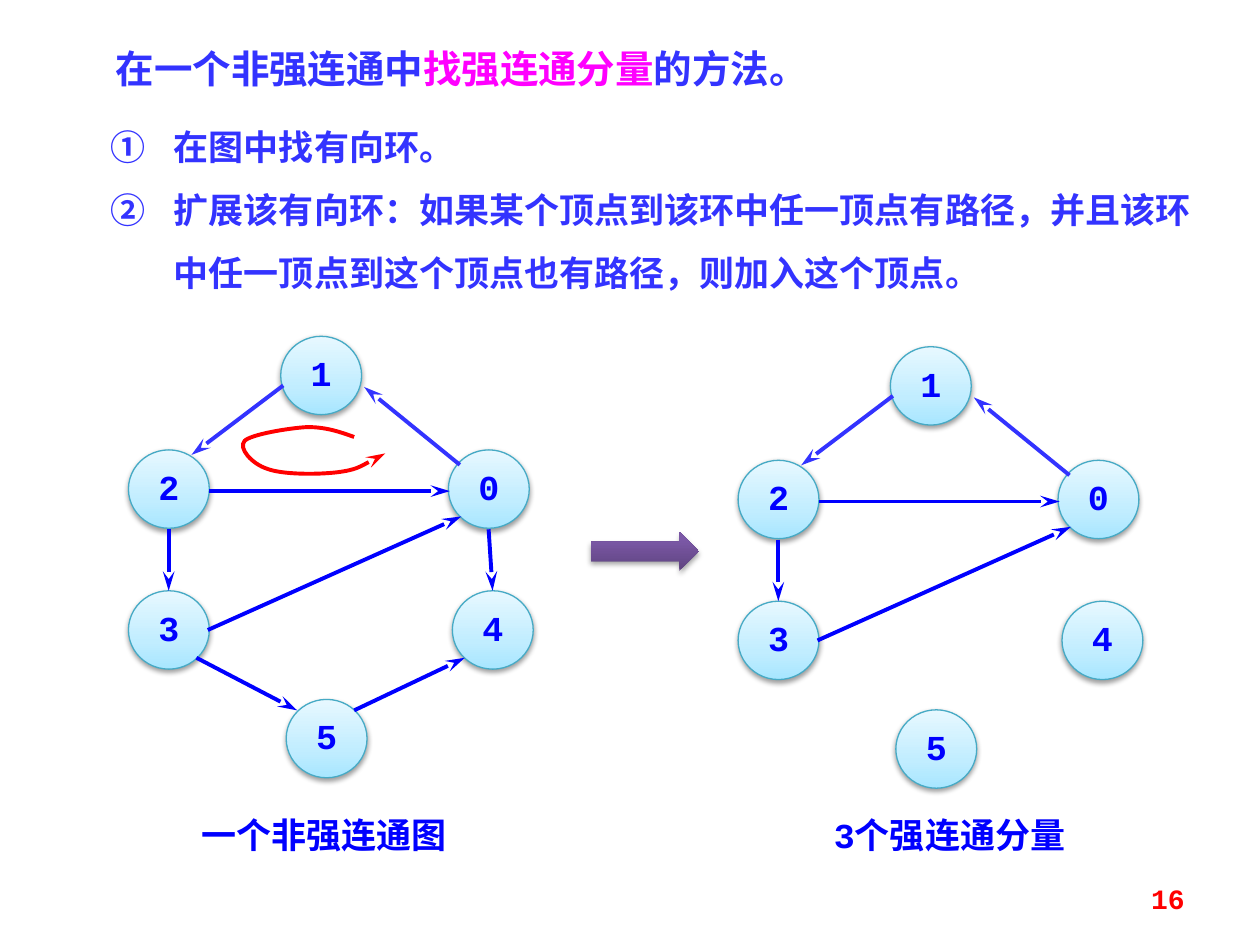
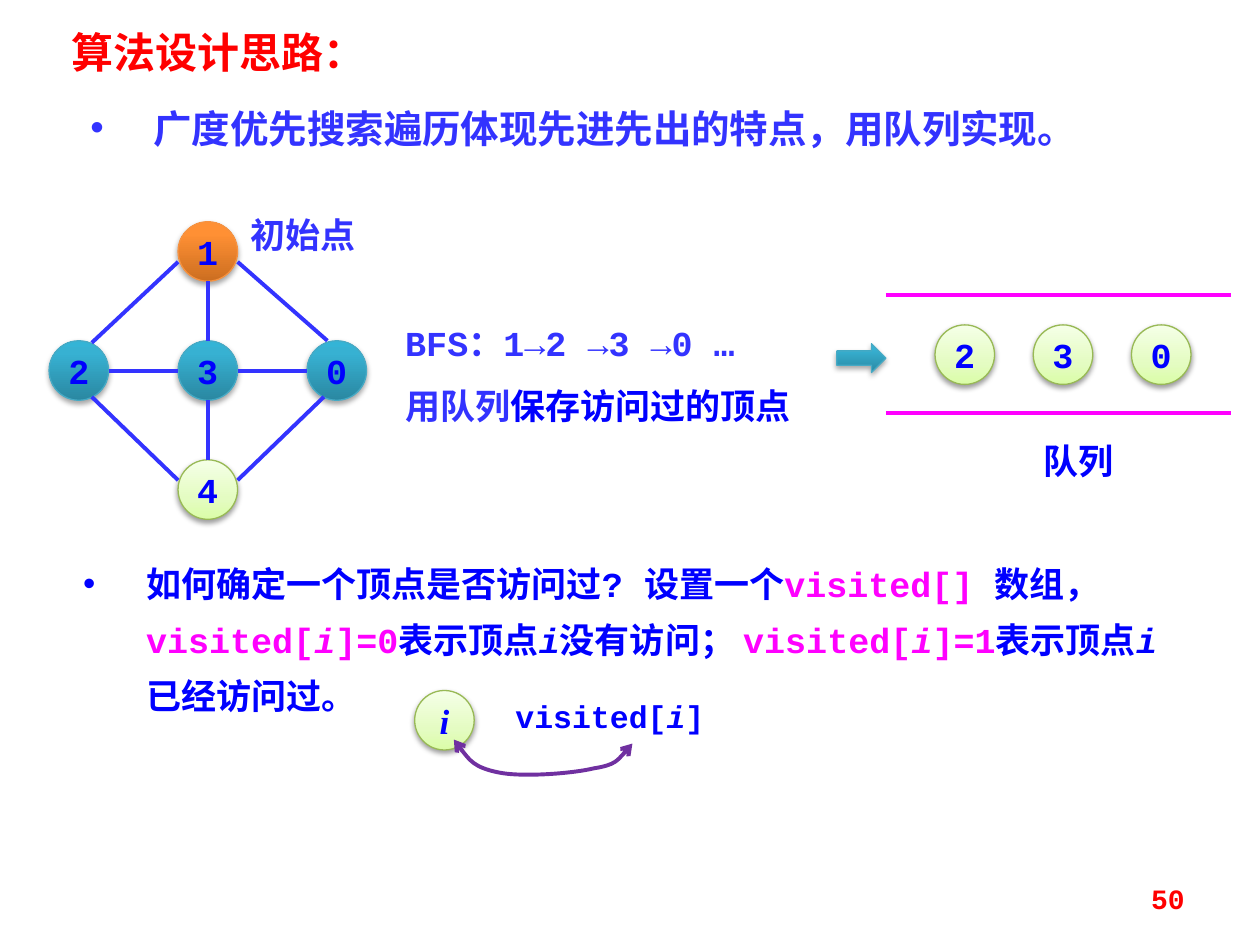
"""Build two slides on strongly connected components and breadth-first search."""
import copy
import dataclasses

import lxml.etree
import pptx
import pptx.dml.color
import pptx.enum.shapes
import pptx.enum.text
import pptx.oxml.ns
import pptx.util

Cm = pptx.util.Cm
Pt = pptx.util.Pt
RGBColor = pptx.dml.color.RGBColor
qn = pptx.oxml.ns.qn
Shape = pptx.enum.shapes.MSO_SHAPE
Align = pptx.enum.text.PP_ALIGN
Anchor = pptx.enum.text.MSO_ANCHOR

BLUE = RGBColor(0x00, 0x00, 0xFF)
SOFT_BLUE = RGBColor(0x33, 0x33, 0xFF)
MAGENTA = RGBColor(0xFF, 0x00, 0xFF)
RED = RGBColor(0xFF, 0x00, 0x00)
PURPLE = RGBColor(0x70, 0x30, 0xA0)
TEAL_EDGE = RGBColor(0x46, 0xAA, 0xC5)
ORANGE_EDGE = RGBColor(0xF6, 0x92, 0x40)
GREEN_EDGE = RGBColor(0x98, 0xB9, 0x55)

CODE_FONT = "Courier New"
SERIF_FONT = "Times New Roman"
CHINESE_FONT = "Noto Sans CJK SC"


@dataclasses.dataclass
class Look:
    """Gradient colours from bottom to top, middle stop, outline and shadow."""
    colours: tuple
    middle: float
    outline: RGBColor = None
    shadow_alpha: int = 35
    shadow_distance: float = 1.8


def gradient(*codes):
    """Return the colours of a gradient from hexadecimal codes."""
    return tuple(RGBColor.from_string(code) for code in codes)


SKY = Look(gradient("A7E6FF", "C1EDFF", "E7F8FF"), 0.35, TEAL_EDGE, 38, 1.6)
LIME = Look(gradient("DAFDA7", "E4FCC2", "F5FFE7"), 0.35, GREEN_EDGE, 38, 1.6)
TEAL = Look(gradient("2A88A2", "37B1D2", "34B4D6"), 0.8, TEAL_EDGE)
ORANGE = Look(gradient("CC6E20", "FF9034", "FF9136"), 0.8, ORANGE_EDGE)
VIOLET = Look(gradient("5F4480", "7B58A6", "7C57A8"), 0.8)

NODE_SPOTS = {"1": (3.07, 0), "0": (6.45, 2.29), "2": (0, 2.29),
              "3": (0, 5.13), "4": (6.53, 5.13), "5": (3.18, 7.32)}
COMPONENT_EDGES = [
    ((1.63, 3.12), (6.48, 3.12), BLUE),
    ((3.12, 0.99), (1.27, 2.39), SOFT_BLUE),
    ((6.68, 2.59), (4.75, 1.02), SOFT_BLUE),
    ((0.81, 3.89), (0.81, 5.13), BLUE),
    ((1.6, 5.92), (6.71, 3.63), BLUE)]
BRIDGE_EDGES = [
    ((7.26, 3.89), (7.34, 5.13), BLUE),
    ((1.37, 6.48), (3.4, 7.54), BLUE),
    ((4.55, 7.54), (6.78, 6.48), BLUE)]
CYCLE_CURVE = [
    (4.55, 2.03), (4.27, 1.93), (3.99, 1.83), (3.61, 1.83),
    (3.23, 1.85), (2.46, 1.98), (2.34, 2.11),
    (2.21, 2.26), (2.49, 2.57), (2.79, 2.67),
    (3.1, 2.79), (3.81, 2.79), (4.22, 2.74),
    (4.6, 2.69), (4.9, 2.51), (5.18, 2.36)]

SEARCH_NODES = [("3", 2.6, 2.4, TEAL), ("2", 0, 2.4, TEAL), ("0", 5.2, 2.4, TEAL),
                ("1", 2.6, 0, ORANGE), ("4", 2.6, 4.8, LIME)]
SEARCH_EDGES = [
    ((0.86, 2.44), (2.6, 0.81)), ((1.2, 3), (2.6, 3)), ((3.8, 3), (5.2, 3)),
    ((0.86, 3.53), (2.6, 5.21)), ((3.8, 0.81), (5.61, 2.4)),
    ((3.8, 5.21), (5.54, 3.53)), ((3.2, 3.6), (3.2, 4.8)), ((3.2, 1.2), (3.2, 2.4))]
LINK_CURVE = [
    (0.79, 0.99), (0.99, 1.27), (1.19, 1.55), (1.68, 1.65),
    (2.13, 1.75), (3.15, 1.68), (3.61, 1.57),
    (4.06, 1.5), (4.22, 1.27), (4.39, 1.07)]


def shift(origin, *spot):
    """Move the first two lengths of a spot by an origin."""
    return (origin[0] + spot[0], origin[1] + spot[1], *spot[2:])


def write(para, text, colour=BLUE, size=20, font=CODE_FONT, italic=False):
    """Add one bold run to a paragraph."""
    span = para.add_run()
    span.text = text
    span.font.name, span.font.size = font, Pt(size)
    span.font.bold, span.font.italic = True, italic
    span.font.color.rgb = colour
    span.font.fill._xPr.find(qn("a:latin")).addnext(
        lxml.etree.Element(qn("a:ea"), typeface=CHINESE_FONT))


def set_bullet(para, tag="a:buChar", **values):
    """Give a paragraph a hanging bullet or number."""
    settings = para._p.get_or_add_pPr()
    settings.set("marL", str(Cm(1.27)))
    settings.set("indent", str(Cm(-1.27)))
    lxml.etree.SubElement(settings, qn(tag), **(values or {"char": "•"}))
    para.space_before = Pt(0)


def place(box, bounds):
    """Move a placeholder and start its text at the top left."""
    box.left, box.top, box.width, box.height = map(Cm, bounds)
    frame = box.text_frame
    frame.auto_size = pptx.enum.text.MSO_AUTO_SIZE.NONE
    frame.vertical_anchor = Anchor.TOP
    frame.paragraphs[0].alignment = Align.LEFT
    return frame.paragraphs[0]


def add_label(page, bounds, align=Align.LEFT):
    """Add a text box and return its first paragraph."""
    frame = page.shapes.add_textbox(*map(Cm, bounds)).text_frame
    frame.word_wrap = True
    frame.paragraphs[0].alignment = align
    return frame.paragraphs[0]


def add_glossy(page, kind, bounds, look):
    """Add a preset shape with gradient, outline and soft shadow."""
    shape = page.shapes.add_shape(kind, *map(Cm, bounds))
    shape.fill.gradient()
    shape.fill.gradient_angle = 90
    stop_list = shape._element.spPr.find(".//" + qn("a:gsLst"))
    stop_list.append(copy.deepcopy(stop_list[0]))
    for stop, colour, position in zip(shape.fill.gradient_stops, look.colours,
                                      (0, look.middle, 1)):
        stop.color.rgb, stop.position = colour, position
    if look.outline is None:
        shape.line.fill.background()
    else:
        shape.line.color.rgb, shape.line.width = look.outline, Pt(0.75)
    shape.shadow.inherit = False
    effects = shape._element.spPr.find(qn("a:effectLst"))
    shadow = lxml.etree.SubElement(
        effects, qn("a:outerShdw"), blurRad=str(Pt(3.1)),
        dist=str(Pt(look.shadow_distance)), dir="5400000", rotWithShape="0")
    black = lxml.etree.SubElement(shadow, qn("a:srgbClr"), val="000000")
    lxml.etree.SubElement(black, qn("a:alpha"), val=str(look.shadow_alpha * 1000))
    return shape


def add_large_node(page, name, spot):
    """Add a vertex of the component graphs."""
    frame = add_glossy(page, Shape.OVAL, (*spot, 1.63, 1.58), SKY).text_frame
    frame.margin_left = frame.margin_right = frame.margin_bottom = 0
    frame.margin_top = Cm(0.3)
    frame.vertical_anchor = Anchor.TOP
    para = frame.paragraphs[0]
    para.alignment, para.line_spacing = Align.CENTER, 0.72
    write(para, name)


def add_small_node(page, name, spot, look=LIME, font=CODE_FONT, italic=False):
    """Add a vertex of the search graph or the queue."""
    frame = add_glossy(page, Shape.OVAL, (*spot, 1.2, 1.2), look).text_frame
    frame.word_wrap = False
    frame.vertical_anchor = Anchor.MIDDLE
    frame.paragraphs[0].alignment = Align.CENTER
    write(frame.paragraphs[0], name, font=font, italic=italic)


def style_stroke(stroke, colour, **ends):
    """Set colour, width and arrowheads of a line and drop its shadow."""
    stroke.line.color.rgb, stroke.line.width = colour, Pt(2.25)
    outline = stroke.line._get_or_add_ln()
    for end, kind in ends.items():
        length = "lg" if kind == "stealth" else "med"
        lxml.etree.SubElement(outline, qn("a:" + end), type=kind, w="med", len=length)
    lxml.etree.SubElement(stroke._element.spPr, qn("a:effectLst"))


def add_edge(page, origin, start, finish, colour, **ends):
    """Add a straight edge between two spots of a region."""
    corners = map(Cm, shift(origin, *start) + shift(origin, *finish))
    edge = page.shapes.add_connector(pptx.enum.shapes.MSO_CONNECTOR.STRAIGHT, *corners)
    style_stroke(edge, colour, **ends)


def add_curve(page, origin, points, colour, **ends):
    """Add an open curve from a start and triples of Bezier points."""
    first, *others = [tuple(map(Cm, shift(origin, *point))) for point in points]
    builder = page.shapes.build_freeform(*first)
    builder.add_line_segments(others, close=False)
    curve = builder.convert_to_shape()
    path = curve._element.spPr.find(".//" + qn("a:path"))
    segments = path.findall(qn("a:lnTo"))
    for index in range(0, len(segments), 3):
        bend = lxml.etree.SubElement(path, qn("a:cubicBezTo"))
        for segment in segments[index:index + 3]:
            bend.append(segment[0])
            path.remove(segment)
    curve.fill.background()
    style_stroke(curve, colour, **ends)


def add_page_number(page, number):
    """Add the red page number at the bottom right."""
    para = add_label(page, (18.21, 17.65, 5.92, 1.02), Align.RIGHT)
    write(para, str(number), RED, 16)


def add_component_graph(page, origin, edges, caption, caption_bounds):
    """Draw six vertices, their edges and a caption."""
    for name, spot in NODE_SPOTS.items():
        add_large_node(page, name, shift(origin, *spot))
    for start, finish, colour in edges:
        add_edge(page, origin, start, finish, colour, tailEnd="stealth")
    write(add_label(page, caption_bounds, Align.CENTER), caption)


def add_search_graph(page, origin):
    """Draw the undirected graph with its starting vertex."""
    for name, left, top, look in SEARCH_NODES:
        add_small_node(page, name, shift(origin, left, top), look)
    for start, finish in SEARCH_EDGES:
        add_edge(page, origin, start, finish, SOFT_BLUE)
    label = add_label(page, shift(origin, 3.63, -0.3, 2.97, 1.12), Align.CENTER)
    write(label, "初始点", SOFT_BLUE)


def add_search_order(page, bounds):
    """Write the visiting order and the need for a queue."""
    order = add_label(page, bounds)
    write(order, "BFS：1→2 →3 →0 …", SOFT_BLUE)
    storage = order._parent.add_paragraph()
    write(storage, "用队列", SOFT_BLUE)
    write(storage, "保存访问过的顶点")
    order.line_spacing = storage.line_spacing = 1.5


def add_queue(page, origin):
    """Draw the queue with its entry arrow, rails and vertices."""
    add_glossy(page, Shape.RIGHT_ARROW, shift(origin, 0, 0.99, 0.99, 0.58), TEAL)
    for height in (0, 2.39):
        add_edge(page, origin, (0.99, height), (7.95, height), MAGENTA)
    for index, name in enumerate("230"):
        add_small_node(page, name, shift(origin, 1.98 * (index + 1), 0.61))
    write(add_label(page, shift(origin, 3.58, 2.79, 2.59, 1.12), Align.CENTER), "队列")


def add_visited_link(page, origin):
    """Link a vertex with its entry in the array."""
    add_small_node(page, "i", origin, font=SERIF_FONT, italic=True)
    label = add_label(page, shift(origin, 1.78, 0, 4.55, 1.02))
    for text in ("visited[", "i", "]"):
        write(label, text, size=18, italic=text == "i")
    add_curve(page, origin, LINK_CURVE, PURPLE, headEnd="arrow", tailEnd="arrow")


def build_component_page(deck):
    """Build the slide on finding strongly connected components."""
    page = deck.slides.add_slide(deck.slide_layouts[1])
    title = place(page.shapes.title, (2.08, 0.79, 17.75, 1.19))
    for text, colour in (("在一个非强连通中", SOFT_BLUE), ("找强连通分量", MAGENTA),
                         ("的方法。", SOFT_BLUE)):
        write(title, text, colour, 22, SERIF_FONT)
    first = place(page.placeholders[1], (1.98, 1.98, 22.63, 3.96))
    second = page.placeholders[1].text_frame.add_paragraph()
    steps = ("在图中找有向环。",
             "扩展该有向环：如果某个顶点到该环中任一顶点有路径，并且该环"
             "中任一顶点到这个顶点也有路径，则加入这个顶点。")
    for para, text in zip((first, second), steps):
        para.line_spacing = 1.5
        set_bullet(para, "a:buAutoNum", type="circleNumDbPlain")
        write(para, text, SOFT_BLUE)
    whole = (2.59, 6.78)
    add_component_graph(page, whole, COMPONENT_EDGES + BRIDGE_EDGES,
                        "一个非强连通图", (3.76, 16.28, 5.56, 1.12))
    add_curve(page, whole, CYCLE_CURVE, RED, tailEnd="stealth")
    add_glossy(page, Shape.RIGHT_ARROW, (11.91, 10.72, 2.18, 0.79), VIOLET)
    add_component_graph(page, (14.88, 6.99), COMPONENT_EDGES,
                        "3个强连通分量", (16.26, 16.28, 5.77, 1.12))
    add_page_number(page, 16)


def build_search_page(deck):
    """Build the slide on the design of breadth-first search."""
    page = deck.slides.add_slide(deck.slide_layouts[3])
    title = place(page.shapes.title, (1.19, 0.41, 7.14, 1.27))
    write(title, "算法设计思路：", RED, 24, CHINESE_FONT)
    idea = place(page.placeholders[1], (1.57, 1.98, 20.83, 1.19))
    set_bullet(idea)
    write(idea, "广度优先搜索遍历体现先进先出的特点，用队列实现。", SOFT_BLUE, 22, CHINESE_FONT)
    marking = place(page.placeholders[2], (1.42, 10.92, 22.4, 3.56))
    marking.line_spacing = Pt(32)
    set_bullet(marking)
    for text, colour in (
            ("如何确定一个顶点是否访问过? 设置一个", BLUE), ("visited[] ", MAGENTA),
            ("数组， ", BLUE), ("visited[", MAGENTA), ("i", MAGENTA), ("]=0", MAGENTA),
            ("表示顶点", BLUE), ("i", BLUE), ("没有访问； ", BLUE),
            ("visited[", MAGENTA), ("i", MAGENTA), ("]=1", MAGENTA),
            ("表示顶点", BLUE), ("i", BLUE), ("已经访问过。", BLUE)):
        write(marking, text, colour, italic=text == "i")
    add_search_graph(page, (0.99, 4.47))
    add_search_order(page, (7.92, 5.94, 9.32, 2.67))
    add_queue(page, (16.87, 5.94))
    add_visited_link(page, (8.36, 13.92))
    add_page_number(page, 50)


def main():
    """Create and save the deck."""
    deck = pptx.Presentation()
    deck.slide_width, deck.slide_height = Cm(25.4), Cm(19.05)
    build_component_page(deck)
    build_search_page(deck)
    deck.save("out.pptx")


if __name__ == "__main__":
    main()
